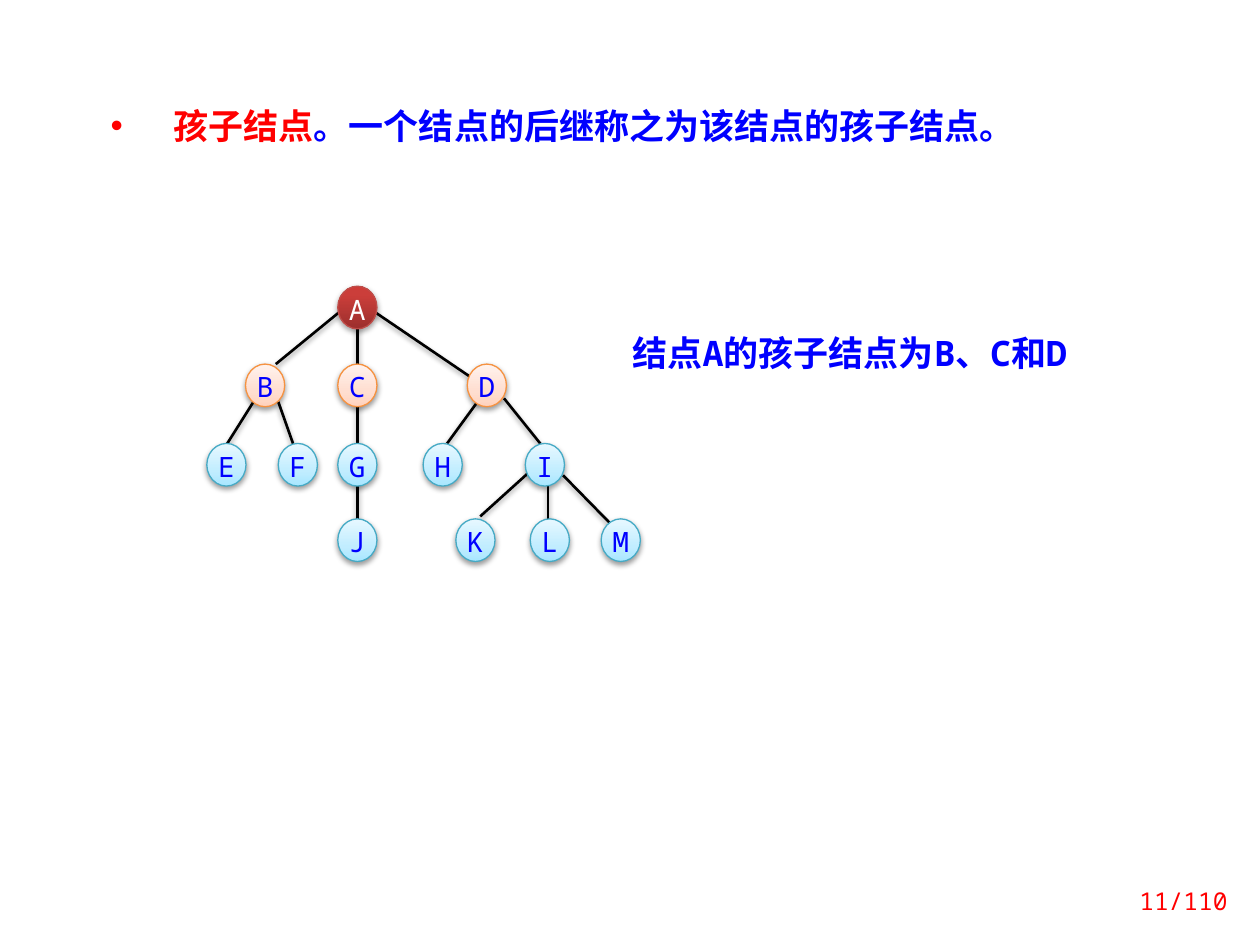
"""Build a slide that explains child nodes with a tree diagram."""
from copy import deepcopy
from lxml.etree import SubElement
from pptx import Presentation
from pptx.dml.color import RGBColor
from pptx.enum.shapes import MSO_CONNECTOR, MSO_SHAPE
from pptx.enum.text import MSO_ANCHOR as ANCHOR, PP_ALIGN as ALIGN
from pptx.oxml.ns import qn
from pptx.util import Cm, Pt

COLORS = {"red": "FF0000", "blue": "0000FF", "white": "FFFFFF", "black": "000000"}
MONO, SANS = "Noto Sans Mono", "Noto Sans CJK SC"
STYLES = {
    "root": ("BF4C48", "white", [(0, "9C2F2D"), (0.8, "CB3E3A"), (1, "CE3B37")]),
    "child": ("F69240", "blue", [(0, "FFD2BD"), (0.35, "FFDED0"), (1, "FFF2ED")]),
    "other": ("46AAC5", "blue", [(0, "A7E6FF"), (0.35, "C1EDFF"), (1, "E7F8FF")]),
}
LEVELS = [
    (5.77, "root", {"A": 6.81}),
    (7.34, "child", {"B": 4.95, "C": 6.81, "D": 9.42}),
    (8.94, "other", {"E": 4.17, "F": 5.61, "G": 6.81, "H": 8.53, "I": 10.59}),
    (10.46, "other", {"J": 6.81, "K": 9.19, "L": 10.69, "M": 12.12}),
]
EDGES = [
    (6.83, 6.3, 5.56, 7.34), (7.21, 6.55, 7.21, 10.59), (7.57, 6.3, 9.47, 7.59),
    (5.11, 8.1, 4.55, 8.99), (5.61, 8.1, 5.97, 9.12),
    (9.7, 8, 8.94, 9.04), (10.16, 8.03, 10.97, 9.04),
    (10.72, 9.47, 9.68, 10.41), (11.05, 9.78, 11.05, 10.57), (11.35, 9.58, 12.29, 10.54),
]
TEXTS = [
    (1.98, 1.98, 20.45, 1.12, 20, True, ALIGN.LEFT,
     [("孩子结点", SANS, "red"), ("。一个结点的后继称之为该结点的孩子结点。", MONO, "blue")]),
    (12.5, 6.55, 10.11, 1.12, 20, True, ALIGN.LEFT,
     [("结点A的孩子结点为B、C和D", MONO, "blue")]),
    (22.1, 17.65, 2.9, 1.02, 14, False, ALIGN.RIGHT, [("11/110", MONO, "red")]),
]


def add_run(p, text, font, size, color, bold=False):
    r = p.add_run()
    r.text = text
    r.font.name, r.font.size, r.font.bold = font, Pt(size), bold
    r.font.color.rgb = RGBColor.from_string(COLORS[color])
    SubElement(r.font._element, qn("a:ea"), typeface=font)


def add_shadow(sp, alpha):
    effects = SubElement(sp._element.spPr, qn("a:effectLst"))
    shadow = SubElement(effects, qn("a:outerShdw"), blurRad=str(Pt(3.1)),
                        dist=str(Pt(1.6)), dir="5400000", rotWithShape="0")
    color = SubElement(shadow, qn("a:srgbClr"), val=COLORS["black"])
    SubElement(color, qn("a:alpha"), val=str(alpha * 1000))


prs = Presentation()
prs.slide_width, prs.slide_height = Cm(25.4), Cm(19.05)
s = prs.slides.add_slide(prs.slide_layouts[6])

boxes = []
for x, y, w, h, size, bold, align, runs in TEXTS:
    sp = s.shapes.add_textbox(Cm(x), Cm(y), Cm(w), Cm(h))
    tf = sp.text_frame
    tf.word_wrap = True
    p = tf.paragraphs[0]
    p.alignment = align
    for text, font, color in runs:
        add_run(p, text, font, size, color, bold)
    boxes.append(tf)
boxes[-1].vertical_anchor = ANCHOR.MIDDLE

pPr = boxes[0].paragraphs[0]._p.get_or_add_pPr()
pPr.set("marL", str(Cm(1.27)))
pPr.set("indent", str(-Cm(1.27)))
SubElement(pPr, qn("a:buFont"), typeface="Arial")
SubElement(pPr, qn("a:buChar"), char="•")

for x1, y1, x2, y2 in EDGES:
    edge = s.shapes.add_connector(MSO_CONNECTOR.STRAIGHT, Cm(x1), Cm(y1), Cm(x2), Cm(y2))
    edge.line.color.rgb = RGBColor.from_string(COLORS["black"])
    edge.line.width = Pt(1.5)
    add_shadow(edge, 38)

for top, style, nodes in LEVELS:
    outline, text_color, stops = STYLES[style]
    for name, left in nodes.items():
        sp = s.shapes.add_shape(MSO_SHAPE.OVAL, Cm(left), Cm(top), Cm(0.79), Cm(0.86))
        sp.fill.gradient()
        sp.fill.gradient_angle = 90
        gs_list = sp._element.spPr.find(".//" + qn("a:gsLst"))
        gs_list.append(deepcopy(gs_list[-1]))
        for stop, (position, color) in zip(sp.fill.gradient_stops, stops):
            stop.position = position
            stop.color.rgb = RGBColor.from_string(color)
        sp.line.color.rgb = RGBColor.from_string(outline)
        sp.line.width = Pt(0.75)
        add_shadow(sp, 35 if style == "root" else 38)
        tf = sp.text_frame
        tf.margin_left = tf.margin_right = tf.margin_top = tf.margin_bottom = 0
        tf.vertical_anchor = ANCHOR.TOP
        p = tf.paragraphs[0]
        p.alignment = ALIGN.CENTER
        p.line_spacing = Pt(19)
        add_run(p, name, MONO, 16, text_color)

prs.save("out.pptx")
